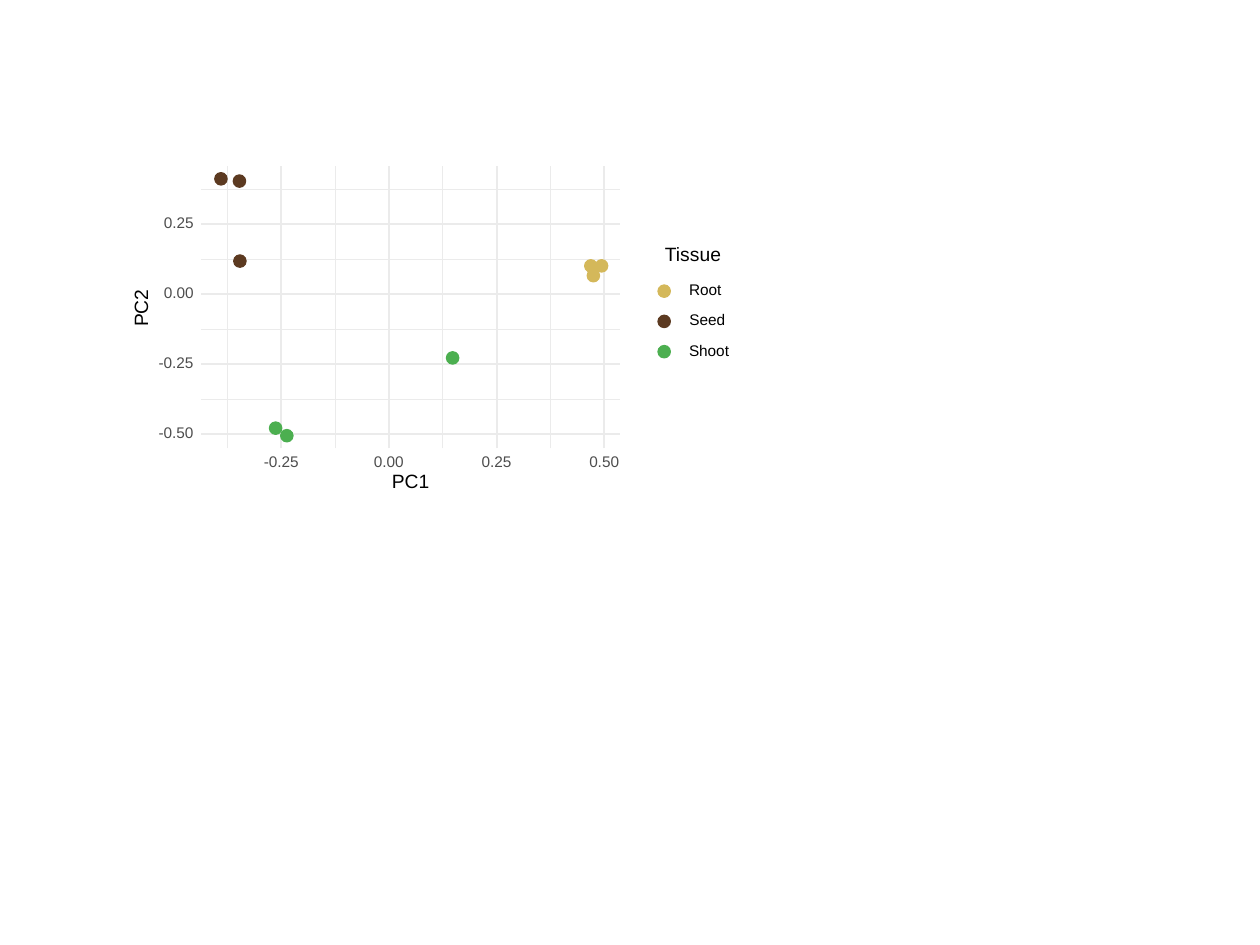
from lxml import etree
from pptx import Presentation
from pptx.dml.color import RGBColor
from pptx.enum.shapes import MSO_CONNECTOR, MSO_SHAPE
from pptx.enum.text import MSO_ANCHOR, PP_ALIGN
from pptx.oxml.ns import qn
from pptx.util import Cm, Pt

STRAIGHT = MSO_CONNECTOR.STRAIGHT
RECTANGLE, OVAL = MSO_SHAPE.RECTANGLE, MSO_SHAPE.OVAL
MIDDLE, CENTER = MSO_ANCHOR.MIDDLE, PP_ALIGN.CENTER
rgb = RGBColor.from_string

# Plot area in cm; scores are in hundredths
LEFT, RIGHT, TOP, BOTTOM = 4.06, 12.5, 3.35, 9.04
ORIGIN_X, ORIGIN_Y = 7.84, 5.93
UNIT_X, UNIT_Y = 8.68 / 100, 5.64 / 100
DOT = 0.25
TICK_SIZE, TITLE_SIZE = 8.8, 11
GREY, BLACK = "4D4D4D", "000000"

TISSUES = [
    # name, colour, label width, (PC1, PC2) scores
    ("Root", "D4B85A", 0.66, [(49.4, 10.1), (46.9, 10.1), (47.5, 6.6)]),
    ("Seed", "5C3A21", 0.74, [(-39, 41.2), (-34.7, 40.4), (-34.6, 11.8)]),
    ("Shoot", "4CAF50", 0.81, [(-26.3, -47.9), (-23.7, -50.6), (14.8, -22.8)]),
]


def add_shape(kind, left, top, width, height, colour, line_width):
    """Add a shape whose fill and outline share one colour."""
    shape = plot.shapes.add_shape(kind, Cm(left), Cm(top), Cm(width), Cm(height))
    shape.shadow.inherit = False
    shape.fill.solid()
    shape.fill.fore_color.rgb = rgb(colour)
    shape.line.color.rgb = rgb(colour)
    shape.line.width = Pt(line_width)


def add_label(text, left, top, width, height=0.23, size=TICK_SIZE, colour=BLACK, rotation=0):
    box = plot.shapes.add_textbox(Cm(left), Cm(top), Cm(width), Cm(height))
    box.rotation = rotation
    frame = box.text_frame
    frame.margin_left = frame.margin_right = frame.margin_top = frame.margin_bottom = 0
    frame.vertical_anchor = MIDDLE
    frame.word_wrap = False
    para = frame.paragraphs[0]
    para.alignment = CENTER
    para.line_spacing = Pt(size)
    span = para.add_run()
    span.text = text
    span.font.name = "Arial"
    span.font.size = Pt(size)
    span.font.color.rgb = rgb(colour)


deck = Presentation()
deck.slide_width, deck.slide_height = Cm(25.4), Cm(19.05)
page = deck.slides.add_slide(deck.slide_layouts[6])
plot = page.shapes.add_group_shape()
add_shape(RECTANGLE, 2.54, 2.54, 12.7, 7.62, "FFFFFF", 0.75)

# Gridlines: minor ones lie halfway between the major ones
x_ticks = [-25, 0, 25, 50]
y_ticks = [-50, -25, 0, 25]
for offset_x, offset_y, weight in [(-12.5, 12.5, 0.53), (0, 0, 1.07)]:
    ends = []
    for tick in y_ticks:
        y = ORIGIN_Y - (tick + offset_y) * UNIT_Y
        ends.append((LEFT, y, RIGHT, y))
    for tick in x_ticks:
        x = ORIGIN_X + (tick + offset_x) * UNIT_X
        ends.append((x, BOTTOM, x, TOP))
    for coordinates in ends:
        gridline = plot.shapes.add_connector(STRAIGHT, *[Cm(value) for value in coordinates])
        gridline.line.color.rgb = rgb("EBEBEB")
        gridline.line.width = Pt(weight)
        etree.SubElement(gridline._element.spPr, qn("a:effectLst"))

# Samples and legend
add_label("Tissue", 13.08, 4.98, 1.78, height=0.36, size=TITLE_SIZE)
for row, (name, colour, label_width, scores) in enumerate(TISSUES):
    legend_y = 5.87 + row * 0.61
    centres = [(ORIGIN_X + pc1 * UNIT_X, ORIGIN_Y - pc2 * UNIT_Y) for pc1, pc2 in scores]
    for x, y in centres + [(13.39, legend_y)]:
        add_shape(OVAL, x - DOT / 2, y - DOT / 2, DOT, DOT, colour, 0.71)
    add_label(name, 13.89, legend_y - 0.12, label_width)

# Axis labels
for tick in y_ticks:
    width = 0.72 if tick < 0 else 0.61
    y = ORIGIN_Y - tick * UNIT_Y
    add_label(f"{tick / 100:.2f}", 3.91 - width, y - 0.12, width, colour=GREY)
for tick in x_ticks:
    width = 0.72 if tick < 0 else 0.61
    x = ORIGIN_X + tick * UNIT_X
    add_label(f"{tick / 100:.2f}", x - width / 2, 9.22, width, colour=GREY)
add_label("PC1", 7.9, 9.6, 0.76, height=0.28, size=TITLE_SIZE)
add_label("PC2", 2.49, 6.07, 0.76, height=0.28, size=TITLE_SIZE, rotation=270)

deck.save("out.pptx")
